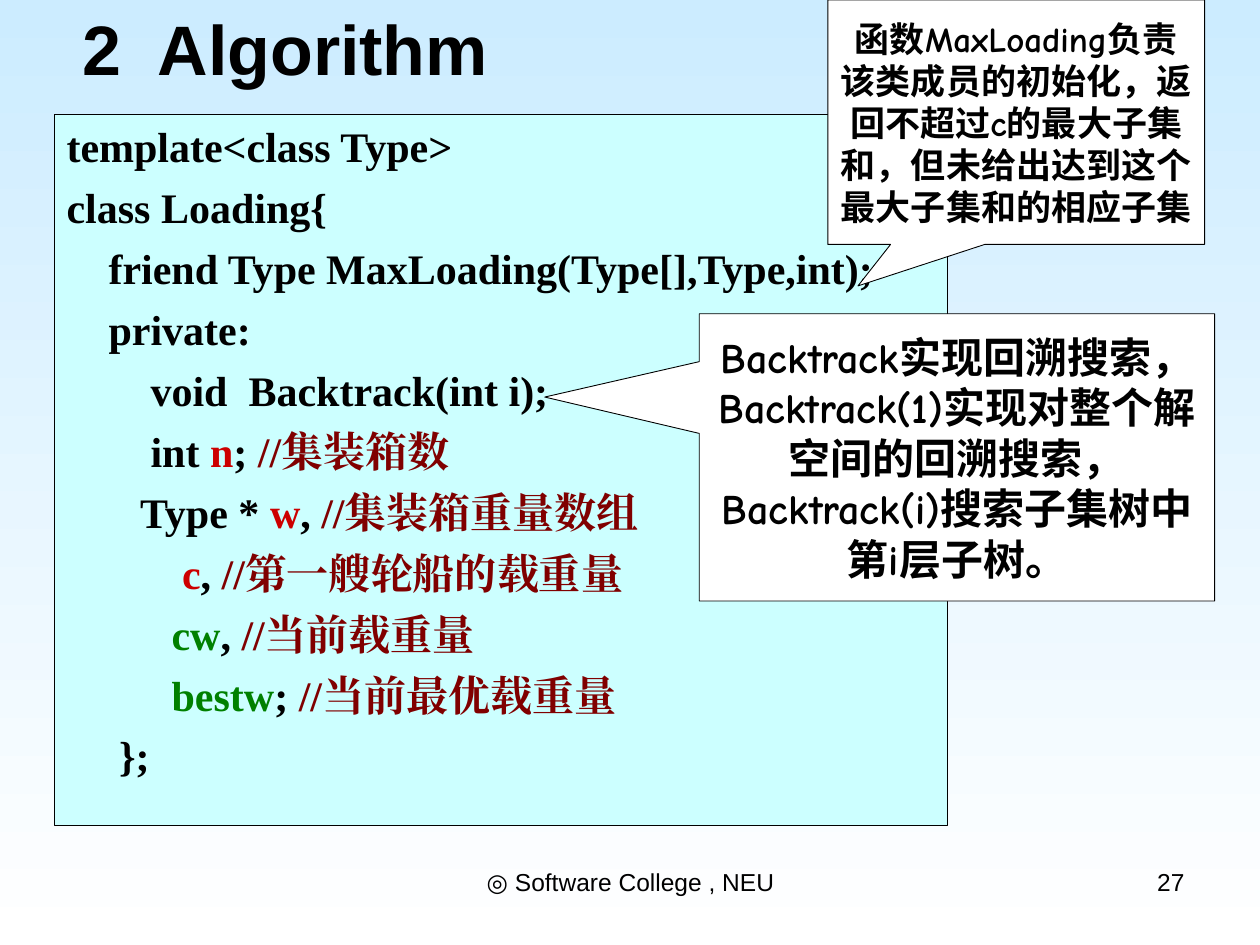
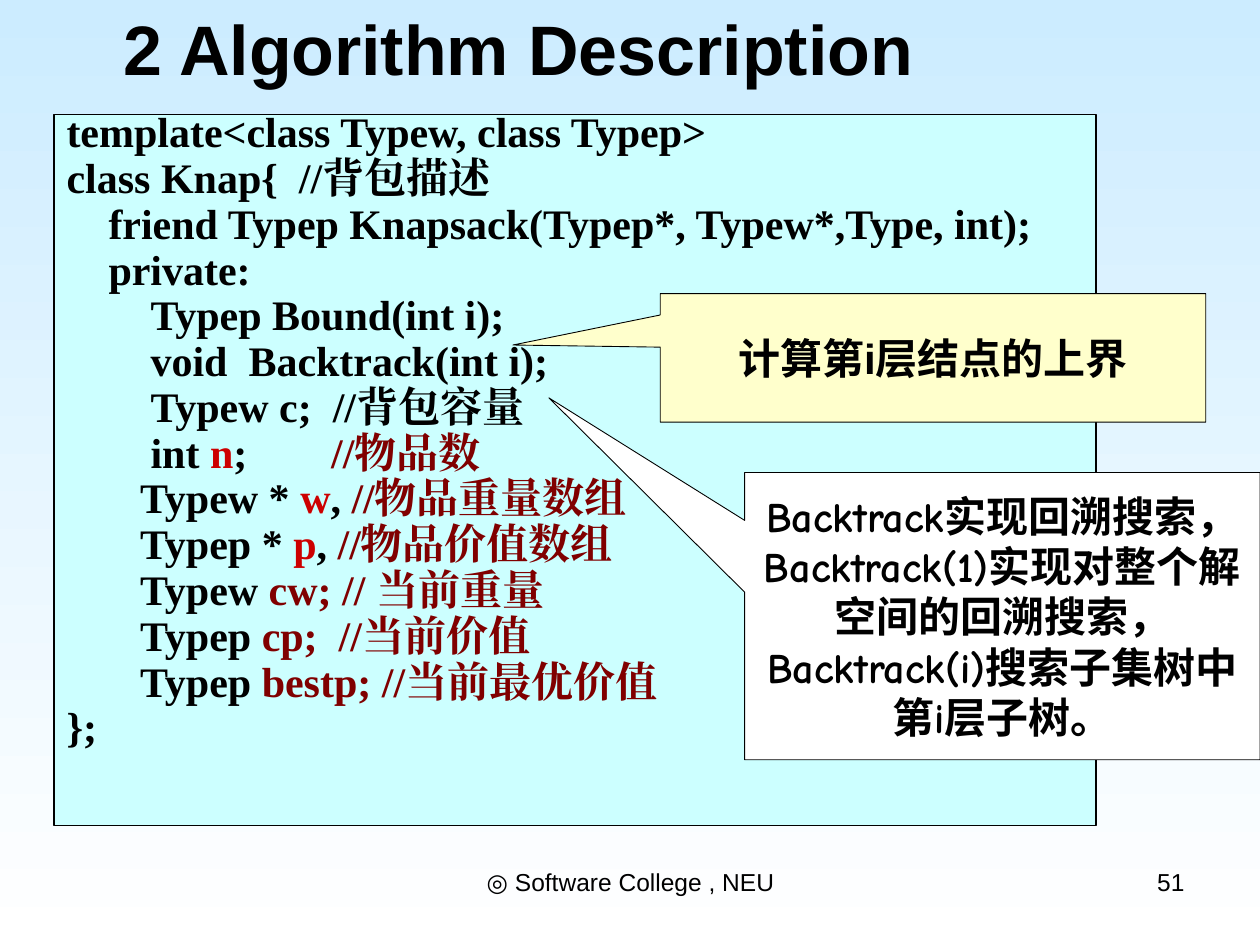
from pptx import Presentation
from pptx import util as u
from pptx.dml.color import RGBColor
from pptx.enum import shapes, text
from pptx.oxml import parse_xml
from pptx.oxml.ns import nsdecls

BLACK = RGBColor(0x00, 0x00, 0x00)
WHITE = RGBColor(0xFF, 0xFF, 0xFF)
SKY = RGBColor(0xCC, 0xEC, 0xFF)
AQUA = RGBColor(0xCC, 0xFF, 0xFF)
CREAM = RGBColor(0xFF, 0xFF, 0xCC)
RED = RGBColor(0xCC, 0x00, 0x00)
MAROON = RGBColor(0x80, 0x00, 0x00)
GREEN = RGBColor(0x00, 0x80, 0x00)

LATIN, CODE, NOTE = "Arial", "Times New Roman", "Comic Neue"
CODE_SIZE = 24
SPACE = CODE_SIZE / 4

deck = Presentation()
deck.slide_width, deck.slide_height = u.Inches(10), u.Inches(7.5)


def share(left, top, width, height):
    sides = (deck.slide_width, deck.slide_height) * 2
    return [round(side * part / 100) for side, part in zip(sides, (left, top, width, height))]


def write(frame, lines, size=CODE_SIZE, font=LATIN, bold=True, align=text.PP_ALIGN.CENTER,
          anchor=text.MSO_ANCHOR.MIDDLE, pitch=None, before=0):
    frame.word_wrap = True
    frame.auto_size = text.MSO_AUTO_SIZE.NONE
    frame.vertical_anchor = anchor
    for number, (indent, hang, runs) in enumerate(lines):
        line = frame.add_paragraph() if number else frame.paragraphs[0]
        line.alignment = align
        line.space_before = u.Pt(before)
        if pitch:
            line.line_spacing = u.Pt(pitch)
        props = line._p.get_or_add_pPr()
        props.set("marL", str(u.Pt((indent + hang) * SPACE)))
        props.set("indent", str(u.Pt(-hang * SPACE)))
        for words, color in runs:
            run = line.add_run()
            run.text = words
            run.font.name, run.font.size, run.font.bold = font, u.Pt(size), bold
            run.font.color.rgb = color
            run.font._element.append(parse_xml(f'<a:ea {nsdecls("a")} typeface="{font}"/>'))


sky = deck.slide_master.background.fill
sky.gradient()
sky.gradient_angle = 270
for stop, color, position in zip(sky.gradient_stops, (SKY, WHITE), (0, 1)):
    stop.color.rgb, stop.position = color, position

BACKTRACK = "Backtrack实现回溯搜索，Backtrack(1)实现对整个解空间的回溯搜索，Backtrack(i)搜索子集树中第i层子树。"
MAX_LOADING = "函数MaxLoading负责该类成员的初始化，返回不超过c的最大子集和，但未给出达到这个最大子集和的相应子集"

loading_code = [
    (0, 0, [("template<class Type>", BLACK)]),
    (0, 0, [("class Loading{", BLACK)]),
    (4, 0, [("friend Type MaxLoading(Type[],Type,int);", BLACK)]),
    (4, 0, [("private:", BLACK)]),
    (8, 0, [("void  Backtrack(int i);", BLACK)]),
    (8, 0, [("int ", BLACK), ("n", RED), ("; ", BLACK), ("//集装箱数", MAROON)]),
    (7, 0, [("Type * ", BLACK), ("w", RED), (", ", BLACK), ("//集装箱重量数组", MAROON)]),
    (11, 0, [("c", RED), (", ", BLACK), ("//第一艘轮船的载重量", MAROON)]),
    (10, 0, [("cw", GREEN), (", ", BLACK), ("//当前载重量", MAROON)]),
    (10, 0, [("bestw", GREEN), ("; ", BLACK), ("//当前最优载重量", MAROON)]),
    (5, 0, [("};", BLACK)]),
]
knap_code = [
    (0, 0, [("template<class Typew, class Typep>", BLACK)]),
    (0, 0, [("class Knap{  //背包描述", BLACK)]),
    (4, 0, [("friend Typep Knapsack(Typep*, Typew*,Type, int);", BLACK)]),
    (4, 0, [("private:", BLACK)]),
    (8, 0, [("Typep Bound(int i);", BLACK)]),
    (8, 0, [("void  Backtrack(int i);", BLACK)]),
    (8, 0, [("Typew c;  //背包容量", BLACK)]),
    (8, 17.2, [("int ", BLACK), ("n", RED), (";\t", BLACK), ("//物品数", MAROON)]),
    (7, 0, [("Typew * ", BLACK), ("w", RED), (", ", BLACK), ("//物品重量数组", MAROON)]),
    (7, 0, [("Typep * ", BLACK), ("p", RED), (", ", BLACK), ("//物品价值数组", MAROON)]),
    (7, 0, [("Typew", BLACK), (" cw; // 当前重量", MAROON)]),
    (7, 0, [("Typep", BLACK), (" cp;  //当前价值", MAROON)]),
    (7, 0, [("Typep", BLACK), (" bestp; //当前最优价值", MAROON)]),
    (0, 0, [("};", BLACK)]),
]

pages = [
    ("2  Algorithm", 45.3, "27", loading_code, 70.9, 1.2, [
        (MAX_LOADING, (65.7, 0, 29.9, 25.87), (-0.42, 0.67), WHITE, NOTE, 20),
        (BACKTRACK, (55.5, 33.2, 40.9, 30.4), (-0.8, -0.21), WHITE, NOTE, 24),
    ]),
    ("2 Algorithm Description", 82.3, "51", knap_code, 82.7, 0.84, [
        (BACKTRACK, (59.1, 50, 40.9, 30.4), (-0.88, -0.76), WHITE, NOTE, 24),
        ("计算第i层结点的上界", (52.4, 31.07, 43.3, 13.6), (-0.77, -0.1), CREAM, LATIN, 24),
    ]),
]

for heading, heading_width, page_number, code, code_width, leading, notes in pages:
    slide = deck.slides.add_slide(deck.slide_layouts[5])

    title = slide.shapes.title
    title.left, title.top, title.width, title.height = share(0, 0, heading_width, 10)
    write(title.text_frame, [(0, 0, [(heading, BLACK)])], size=40)

    for words, left, width, align in (
        ("◎ Software College , NEU", 34.2, 31.7, text.PP_ALIGN.CENTER),
        (page_number, 71.7, 23.3, text.PP_ALIGN.RIGHT),
    ):
        footer = slide.shapes.add_textbox(*share(left, 91.07, width, 6.93))
        write(footer.text_frame, [(0, 0, [(words, BLACK)])], size=14, bold=False,
              align=align, anchor=text.MSO_ANCHOR.TOP)

    listing = slide.shapes.add_shape(shapes.MSO_SHAPE.RECTANGLE, *share(4.3, 12.13, code_width, 75.2))
    write(listing.text_frame, code, font=CODE, align=text.PP_ALIGN.LEFT,
          anchor=text.MSO_ANCHOR.TOP, pitch=CODE_SIZE * leading, before=6)
    boxes = [(listing, AQUA, 0.75)]

    for words, place, tip, color, font, size in notes:
        note = slide.shapes.add_shape(shapes.MSO_SHAPE.RECTANGULAR_CALLOUT, *share(*place))
        note.adjustments[0], note.adjustments[1] = tip
        write(note.text_frame, [(0, 0, [(words, BLACK)])], size=size, font=font, pitch=size * 1.2)
        boxes.append((note, color, 0.5))

    for box, color, weight in boxes:
        box.shadow.inherit = False
        box.fill.solid()
        box.fill.fore_color.rgb = color
        box.line.color.rgb = BLACK
        box.line.width = u.Pt(weight)

deck.save("out.pptx")
